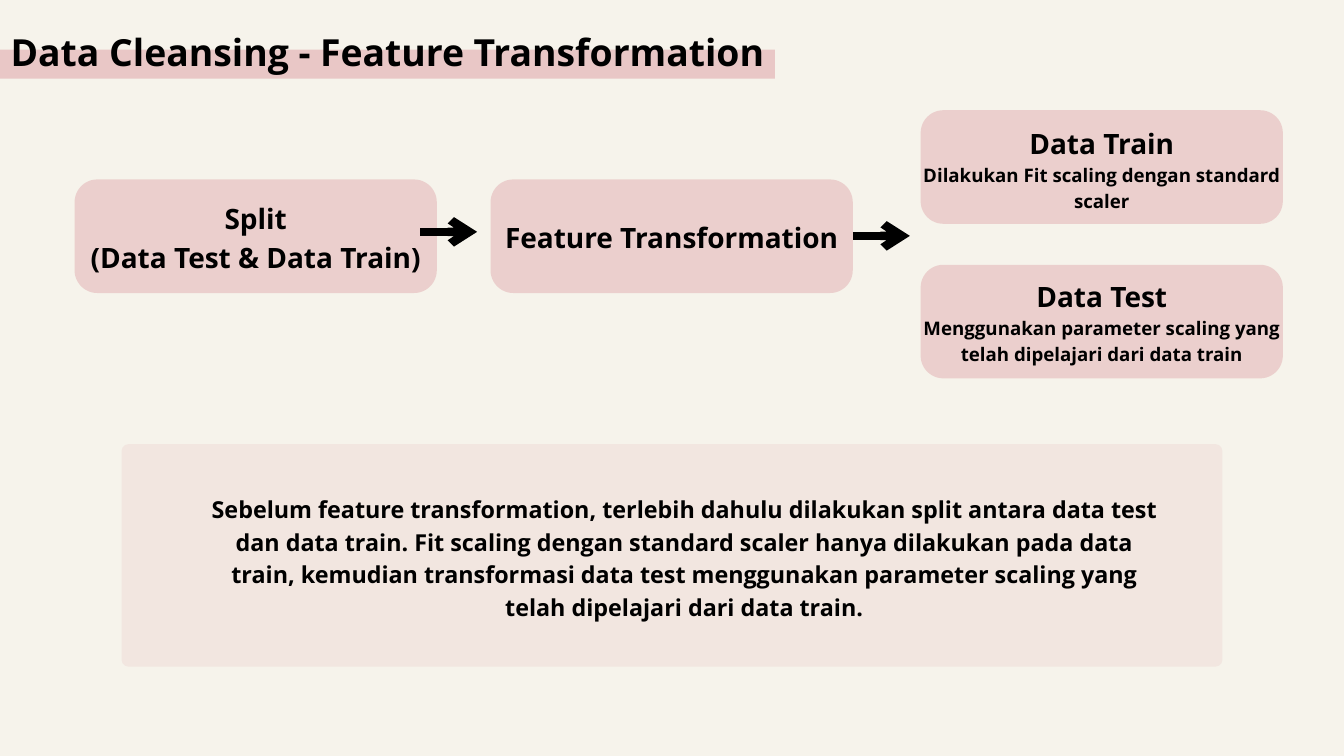
from lxml.etree import SubElement
from pptx import Presentation
from pptx.dml.color import RGBColor
from pptx.enum.shapes import MSO_CONNECTOR, MSO_SHAPE
from pptx.enum.text import MSO_ANCHOR, MSO_AUTO_SIZE, PP_ALIGN
from pptx.oxml.ns import qn
from pptx.util import Inches, Pt

CREAM = RGBColor(0xF6, 0xF3, 0xEB)
PINK = RGBColor(0xE9, 0xC7, 0xC6)
BLACK = RGBColor(0, 0, 0)
FONT = "Open Sans"
LINE_RATIO = 1.4

WIDTH, HEIGHT = 20, 11.25
CARD_WIDTH, CARD_HEIGHT = 5.39, 1.69
ARROW_LENGTH = 0.85

TITLE = "Data Cleansing - Feature Transformation"
TITLE_WIDTH = 11.53
SUMMARY = (
    "Sebelum feature transformation, terlebih dahulu dilakukan split antara data test "
    "dan data train. Fit scaling dengan standard scaler hanya dilakukan pada data train, "
    "kemudian transformasi data test menggunakan parameter scaling yang telah dipelajari "
    "dari data train."
)
CARDS = [
    {"left": 1.11, "top": 2.67, "text_top": 2.91, "overhang": 0.2,
     "lines": [("Split", 30), ("(Data Test & Data Train)", 30)]},
    {"left": 7.3, "top": 2.67, "text_top": 3.2, "overhang": 0.2,
     "lines": [("Feature Transformation", 30)]},
    {"left": 13.7, "top": 1.64, "text_top": 1.8, "overhang": 0,
     "lines": [("Data Train", 30), ("Dilakukan Fit scaling dengan standard scaler", 20)]},
    {"left": 13.7, "top": 3.94, "text_top": 4.08, "overhang": 0,
     "lines": [("Data Test", 30),
               ("Menggunakan parameter scaling yang telah dipelajari dari data train", 20)]},
]
ARROWS = [(6.25, 3.45), (12.69, 3.51)]


def place(left, top, width, height):
    return [Inches(value) for value in (left, top, width, height)]


def add_block(page, kind, bounds, opacity=100, radius=0):
    block = page.shapes.add_shape(kind, *place(*bounds))
    block.shadow.inherit = False
    block.fill.solid()
    block.fill.fore_color.rgb = PINK
    block.line.fill.background()
    if radius:
        block.adjustments[0] = radius
    if opacity < 100:
        color = block.element.spPr.find(qn("a:solidFill"))[0]
        SubElement(color, qn("a:alpha"), val=str(opacity * 1000))
    return block


def write(box, lines):
    frame = box.text_frame
    frame.text = "\n".join(text for text, size in lines)
    frame.word_wrap = True
    frame.auto_size = MSO_AUTO_SIZE.NONE
    frame.vertical_anchor = MSO_ANCHOR.TOP
    frame.margin_left = frame.margin_right = frame.margin_top = frame.margin_bottom = 0
    for para, (text, size) in zip(frame.paragraphs, lines):
        para.alignment = PP_ALIGN.CENTER
        para.line_spacing = Pt(size * LINE_RATIO)
        for span in para.runs:
            span.font.name = FONT
            span.font.size = Pt(size)
            span.font.bold = True
            span.font.color.rgb = BLACK


def add_text(page, bounds, lines):
    write(page.shapes.add_textbox(*place(*bounds)), lines)


def add_title(page):
    bar = add_block(page, MSO_SHAPE.RECTANGLE, (0, 0.74, TITLE_WIDTH, 0.43))
    title = page.shapes.title
    title.left, title.top, title.width, title.height = place(0, 0.33, TITLE_WIDTH, 0.74)
    write(title, [(TITLE, 40)])
    title.element.addprevious(bar.element)


def add_card(page, card):
    add_block(page, MSO_SHAPE.ROUNDED_RECTANGLE,
              (card["left"], card["top"], CARD_WIDTH, CARD_HEIGHT), 80, 0.2)
    overhang = card["overhang"]
    text_height = CARD_HEIGHT - 2 * (card["text_top"] - card["top"])
    add_text(page, (card["left"] - overhang, card["text_top"],
                    CARD_WIDTH + 2 * overhang, text_height), card["lines"])


def add_arrow(page, left, top):
    arrow = page.shapes.add_connector(
        MSO_CONNECTOR.STRAIGHT, *place(left, top, left + ARROW_LENGTH, top))
    arrow.line.color.rgb = BLACK
    arrow.line.width = Pt(9)
    SubElement(arrow.line._get_or_add_ln(), qn("a:tailEnd"), type="arrow")
    SubElement(arrow.element.spPr, qn("a:effectLst"))


def main():
    deck = Presentation()
    deck.slide_width, deck.slide_height = Inches(WIDTH), Inches(HEIGHT)
    page = deck.slides.add_slide(deck.slide_layouts[5])
    page.background.fill.solid()
    page.background.fill.fore_color.rgb = CREAM

    add_title(page)
    add_block(page, MSO_SHAPE.ROUNDED_RECTANGLE, (1.81, 6.61, 16.38, 3.31), 29, 0.03)
    add_text(page, (3.15, 7.3, 14.06, 1.9), [(SUMMARY, 25)])
    for card in CARDS:
        add_card(page, card)
    for left, top in ARROWS:
        add_arrow(page, left, top)
    deck.save("out.pptx")


if __name__ == "__main__":
    main()
